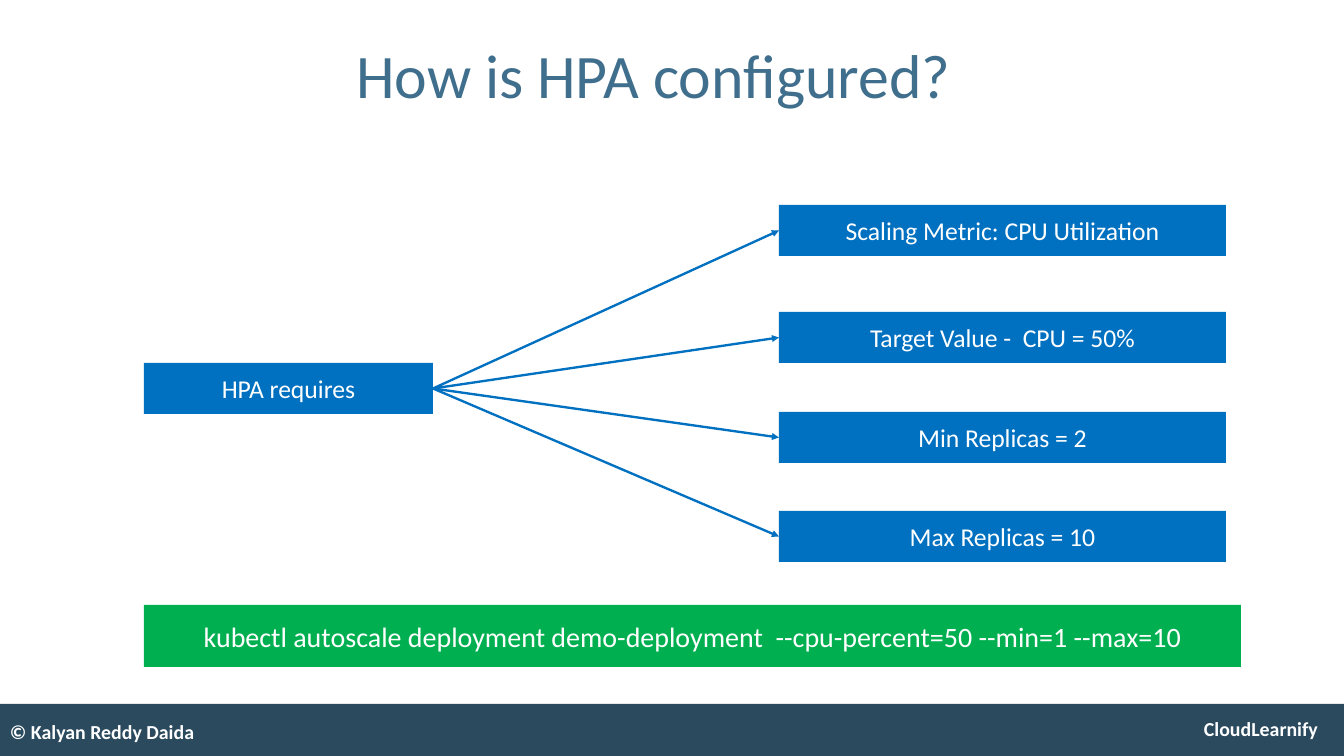
from lxml.etree import SubElement
from pptx import Presentation
from pptx.dml.color import RGBColor
from pptx.enum.shapes import MSO_CONNECTOR, MSO_SHAPE
from pptx.enum.text import MSO_ANCHOR, PP_ALIGN
from pptx.oxml.ns import qn
from pptx.util import Pt

TITLE = "How is HPA configured?"
SOURCE = "HPA requires"
REQUIREMENTS = [  # label, top in px
    ("Scaling Metric: CPU Utilization", 205),
    ("Target Value -  CPU = 50%", 312),
    ("Min Replicas = 2", 412),
    ("Max Replicas = 10", 511),
]
COMMAND = "kubectl autoscale deployment demo-deployment  --cpu-percent=50 --min=1 --max=10"
COPYRIGHT = "© Kalyan Reddy Daida"
BRAND = "CloudLearnify"

FONT = "Calibri"
BLUE, GREEN, NAVY = "0070C0", "00B050", "2B4A5E"
WHITE, TITLE_COLOUR = "FFFFFF", "406F8D"

EMU_PER_PX = 914400 / 84
SLIDE_WIDTH, SLIDE_HEIGHT = 1344, 756
LEFT_MARGIN = 144
BOX_HEIGHT = 51
RIGHT_SIDE, LEFT_SIDE = 3, 1


def px(length):
    return round(length * EMU_PER_PX)


def colour(hex_string):
    return RGBColor.from_string(hex_string)


def write(shape, text, size, hex_string=WHITE, align=PP_ALIGN.CENTER, bold=False):
    frame = shape.text_frame
    frame.text = text
    frame.word_wrap = True
    frame.vertical_anchor = MSO_ANCHOR.MIDDLE
    frame.margin_left = frame.margin_right = px(10)
    frame.margin_top = frame.margin_bottom = px(5)
    paragraph = frame.paragraphs[0]
    paragraph.alignment = align
    font = paragraph.runs[0].font
    font.name, font.size, font.bold = FONT, Pt(size), bold
    font.color.rgb = colour(hex_string)


def add_box(slide, bounds, fill):
    box = slide.shapes.add_shape(MSO_SHAPE.RECTANGLE, *map(px, bounds))
    box.shadow.inherit = False
    box.fill.solid()
    box.fill.fore_color.rgb = colour(fill)
    box.line.fill.background()
    return box


def add_arrow(slide, start, end):
    """Join the right side of one box to the left side of another."""
    arrow = slide.shapes.add_connector(MSO_CONNECTOR.STRAIGHT, 0, 0, 0, 0)
    arrow.begin_connect(start, RIGHT_SIDE)
    arrow.end_connect(end, LEFT_SIDE)
    arrow.line.color.rgb = colour(BLUE)
    arrow.line.width = Pt(2)
    properties = arrow._element.spPr
    SubElement(properties.find(qn("a:ln")), qn("a:tailEnd"), type="triangle")
    SubElement(properties, qn("a:effectLst"))


def add_footer(slide):
    add_box(slide, (0, 704, SLIDE_WIDTH, 52), NAVY)
    for text, bounds, align in (
        (BRAND, (1181, 709, 160, 40), PP_ALIGN.CENTER),
        (COPYRIGHT, (0, 712, 454, 40), PP_ALIGN.LEFT),
    ):
        label = slide.shapes.add_textbox(*map(px, bounds))
        write(label, text, 17, align=align, bold=True)


def add_title(slide):
    title = slide.shapes.title
    title.left, title.top, title.width, title.height = map(px, (74, 24, 1159, 109))
    write(title, TITLE, 53, TITLE_COLOUR)
    title.text_frame.paragraphs[0].line_spacing = 0.9


def main():
    presentation = Presentation()
    presentation.slide_width = px(SLIDE_WIDTH)
    presentation.slide_height = px(SLIDE_HEIGHT)
    slide = presentation.slides.add_slide(presentation.slide_layouts[5])

    add_footer(slide)
    add_title(slide)

    source = add_box(slide, (LEFT_MARGIN, 363, 289, BOX_HEIGHT), BLUE)
    write(source, SOURCE, 22)
    for label, top in REQUIREMENTS:
        requirement = add_box(slide, (779, top, 447, BOX_HEIGHT), BLUE)
        write(requirement, label, 22)
        add_arrow(slide, source, requirement)

    command = add_box(slide, (LEFT_MARGIN, 605, 1097, 62), GREEN)
    write(command, COMMAND, 24)

    presentation.save("out.pptx")


if __name__ == "__main__":
    main()
